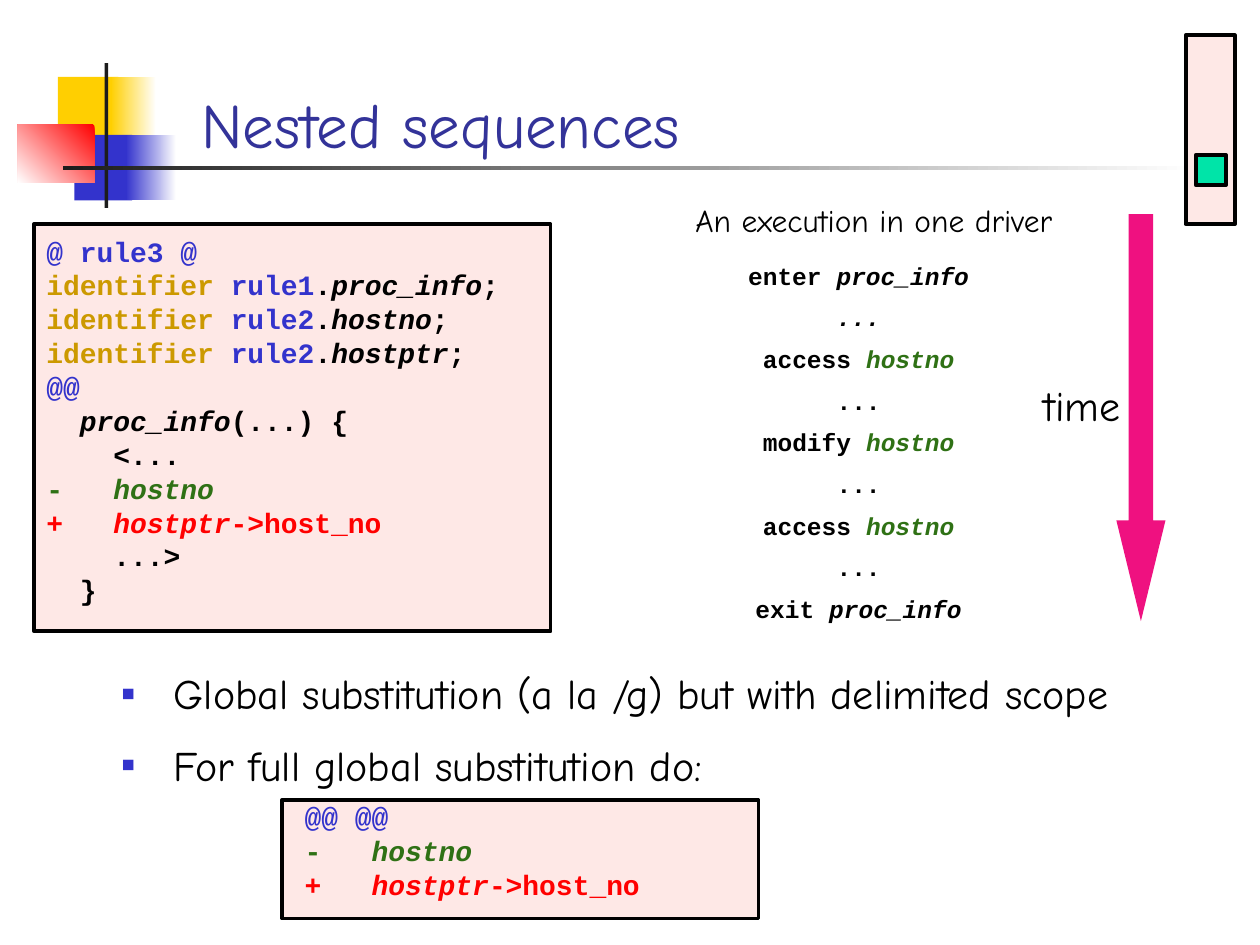
from dataclasses import dataclass

from lxml import etree
from pptx import Presentation
from pptx.dml.color import RGBColor as RGB
from pptx.enum.shapes import MSO_SHAPE as SHAPE
from pptx.enum.text import MSO_ANCHOR as ANCHOR, MSO_AUTO_SIZE as FIT, PP_ALIGN as ALIGN
from pptx.oxml.ns import qn
from pptx.util import Inches, Pt


@dataclass(frozen=True)
class Theme:
    sans: str = "Comic Neue"
    mono: str = "Courier New"
    black: str = "000000"
    white: str = "FFFFFF"
    dark: str = "1C1C1C"
    title: str = "333399"
    blue: str = "3333CC"
    yellow: str = "FFCF01"
    red: str = "FF0000"
    gold: str = "CC9900"
    green: str = "2F7115"
    panel: str = "FEE8E6"
    mint: str = "00E4A8"
    pink: str = "EF1180"
    title_size: int = 36
    body_size: int = 24
    caption_size: int = 18
    code_size: int = 16
    trace_size: int = 14


theme = Theme()


def add_block(place, *colours, angle=180, border=False, kind=SHAPE.RECTANGLE):
    """Add a preset shape with a solid fill, or a gradient if given two colours."""
    block = page.shapes.add_shape(kind, *map(Inches, place))
    block.shadow.inherit = False
    if len(colours) == 1:
        block.fill.solid()
        block.fill.fore_color.rgb = RGB.from_string(colours[0])
    else:
        block.fill.gradient()
        block.fill.gradient_angle = angle
        for stop, position, colour in zip(block.fill.gradient_stops, (0, 1), colours):
            stop.position = position
            stop.color.rgb = RGB.from_string(colour)
    if border:
        block.line.color.rgb = RGB.from_string(theme.black)
        block.line.width = Pt(2.25)
    else:
        block.line.fill.background()
    return block


def write(box, place, lines, size, font=theme.sans, gap=0, spacing=None,
          align=ALIGN.LEFT, colour=theme.black, bullet=None):
    """Place a box and fill it; a line is a list of (text, colour, italic) spans."""
    box.left, box.top, box.width, box.height = map(Inches, place)
    frame = box.text_frame
    frame.word_wrap = True
    frame.auto_size = FIT.NONE
    for number, line in enumerate(lines):
        para = frame.paragraphs[0] if number == 0 else frame.add_paragraph()
        if bullet:
            props = para._p.get_or_add_pPr()
            props.set("marL", str(Inches(0.42)))
            props.set("indent", str(Inches(-0.42)))
            tint = etree.SubElement(props, qn("a:buClr"))
            etree.SubElement(tint, qn("a:srgbClr")).set("val", theme.blue)
            etree.SubElement(props, qn("a:buChar")).set("char", bullet)
        para.alignment = align
        para.space_before = Pt(gap if number else 0)
        if spacing:
            para.line_spacing = spacing
        para.font.name = font
        para.font.size = Pt(size)
        para.font.bold = font == theme.mono
        if isinstance(line, str):
            line = [(line, colour, False)]
        if len({tone for _, tone, _ in line}) == 1:
            para.font.color.rgb = RGB.from_string(line[0][1])
        for text, tone, italic in line:
            span = para.add_run()
            span.text = text
            span.font.italic = italic
            if len(line) > 1:
                span.font.color.rgb = RGB.from_string(tone)
    return frame


deck = Presentation()
deck.slide_width, deck.slide_height = Inches(10), Inches(7.5)
page = deck.slides.add_slide(deck.slide_layouts[1])

# Corner ornament with the rule under the title
add_block((0.46, 0.61, 0.48, 0.52), theme.yellow)
add_block((0.88, 0.61, 0.36, 0.52), theme.white, theme.yellow)
add_block((0.59, 1.07, 0.46, 0.52), theme.blue)
add_block((1, 1.07, 0.4, 0.52), theme.white, theme.blue)
add_block((0.14, 0.99, 0.61, 0.46), theme.red, theme.white, angle=225)
add_block((0.83, 0.5, 0.03, 1.15), theme.dark)
add_block((0.5, 1.32, 9, 0.03), theme.white, theme.dark)

# Code panels and progress marker
for panel in ((2.24, 6.35, 3.78, 0.94), (0.27, 1.78, 4.1, 3.23), (9.41, 0.28, 0.39, 1.5)):
    add_block(panel, theme.panel, border=True)
add_block((9.49, 1.23, 0.24, 0.24), theme.mint, border=True)

# Title and bullet list
title = write(page.shapes.title, (1.5, 0.08, 8.5, 1.25), ["Nested sequences"],
              theme.title_size, colour=theme.title)
title.vertical_anchor = ANCHOR.BOTTOM
write(page.placeholders[1], (0.86, 5.25, 8.3, 1.07),
      ["Global substitution (a la /g) but with delimited scope",
       "For full global substitution do:"],
      theme.body_size, gap=12, bullet="▪")

# Code in the two panels
change = [
    [("-   ", theme.green, False), ("hostno", theme.green, True)],
    [("+   ", theme.red, False), ("hostptr", theme.red, True), ("->host_no", theme.red, False)],
]
imports = [
    [("identifier ", theme.gold, False), (rule, theme.blue, False), (".", theme.black, False),
     (name, theme.black, True), (";", theme.black, False)]
    for rule, name in (("rule1", "proc_info"), ("rule2", "hostno"), ("rule2", "hostptr"))
]
rule_code = [
    [("@ rule3 @", theme.blue, False)],
    *imports,
    [("@@", theme.blue, False)],
    [("  ", theme.black, False), ("proc_info", theme.black, True), ("(...) {", theme.black, False)],
    "    <...",
    *change,
    "    ...>",
    "  }",
]
global_code = [[("@@ @@", theme.blue, False)], *change]
for place, code in (((0.27, 1.86, 5.04, 3.15), rule_code),
                    ((2.32, 6.35, 5.04, 0.87), global_code)):
    write(page.shapes.add_textbox(0, 0, 0, 0), place, code, theme.code_size,
          font=theme.mono, gap=4, spacing=0.8)

# Execution trace: steps separated by dots
steps = (("enter ", "proc_info", theme.black), ("access ", "hostno", theme.green),
         ("modify ", "hostno", theme.green), ("access ", "hostno", theme.green),
         ("exit ", "proc_info", theme.black))
trace = []
for verb, name, tone in steps:
    if trace:
        trace.append([("...", theme.black, len(trace) == 1)])
    trace.append([(verb, theme.black, False), (name, tone, True)])
trace_frame = write(page.shapes.add_textbox(0, 0, 0, 0), (5.71, 2.02, 2.21, 2.98), trace,
                    theme.trace_size, font=theme.mono, gap=7, align=ALIGN.CENTER)
# Two rows of dots sit left of the centre line
for row, shift in ((1, -0.12), (3, -0.58)):
    trace_frame.paragraphs[row]._p.get_or_add_pPr().set("indent", str(Inches(shift)))
write(page.shapes.add_textbox(0, 0, 0, 0), (5, 1.55, 3.87, 0.4),
      ["An execution in one driver"], theme.caption_size, align=ALIGN.CENTER)

# Time arrow
arrow = add_block((8.86, 1.7, 0.39, 3.23), theme.pink, kind=SHAPE.DOWN_ARROW)
arrow.adjustments[0], arrow.adjustments[1] = 0.5, 2.05
write(page.shapes.add_textbox(0, 0, 0, 0), (8.18, 2.96, 1.64, 0.5), ["time"], theme.body_size)

deck.save("out.pptx")
